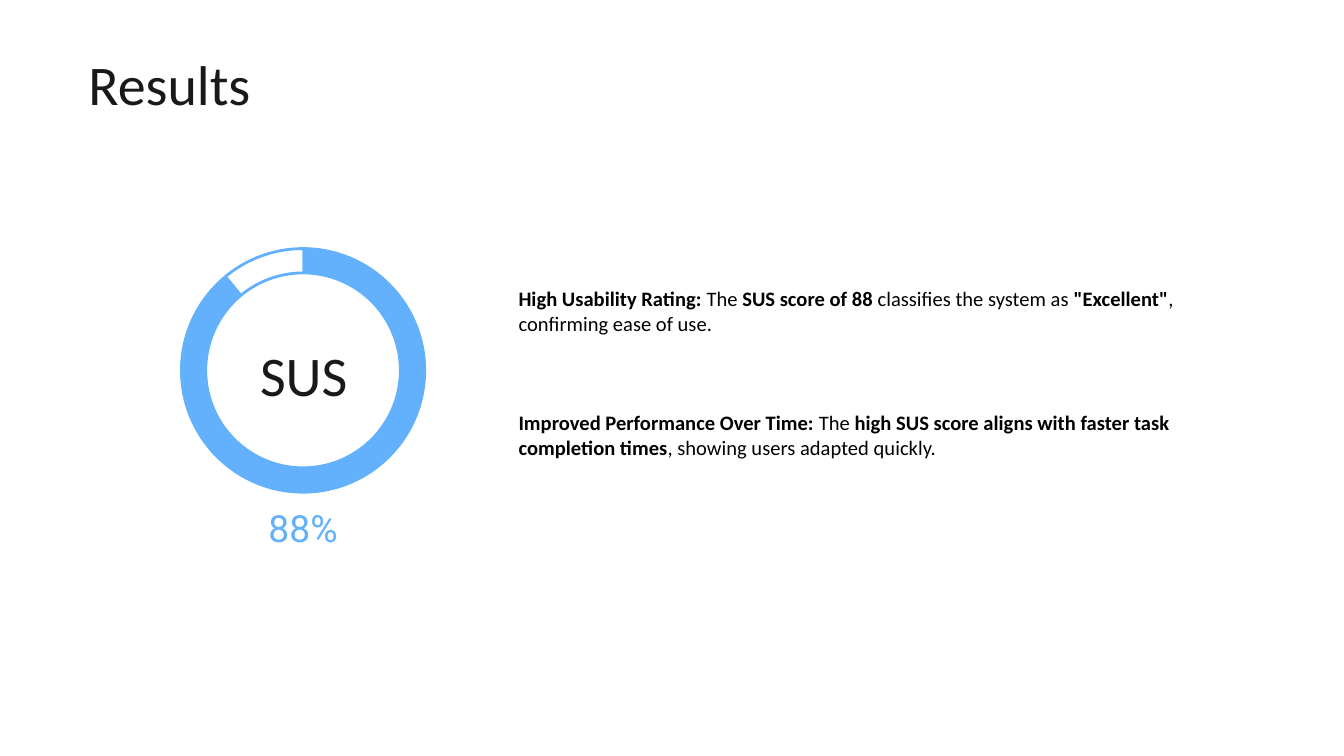
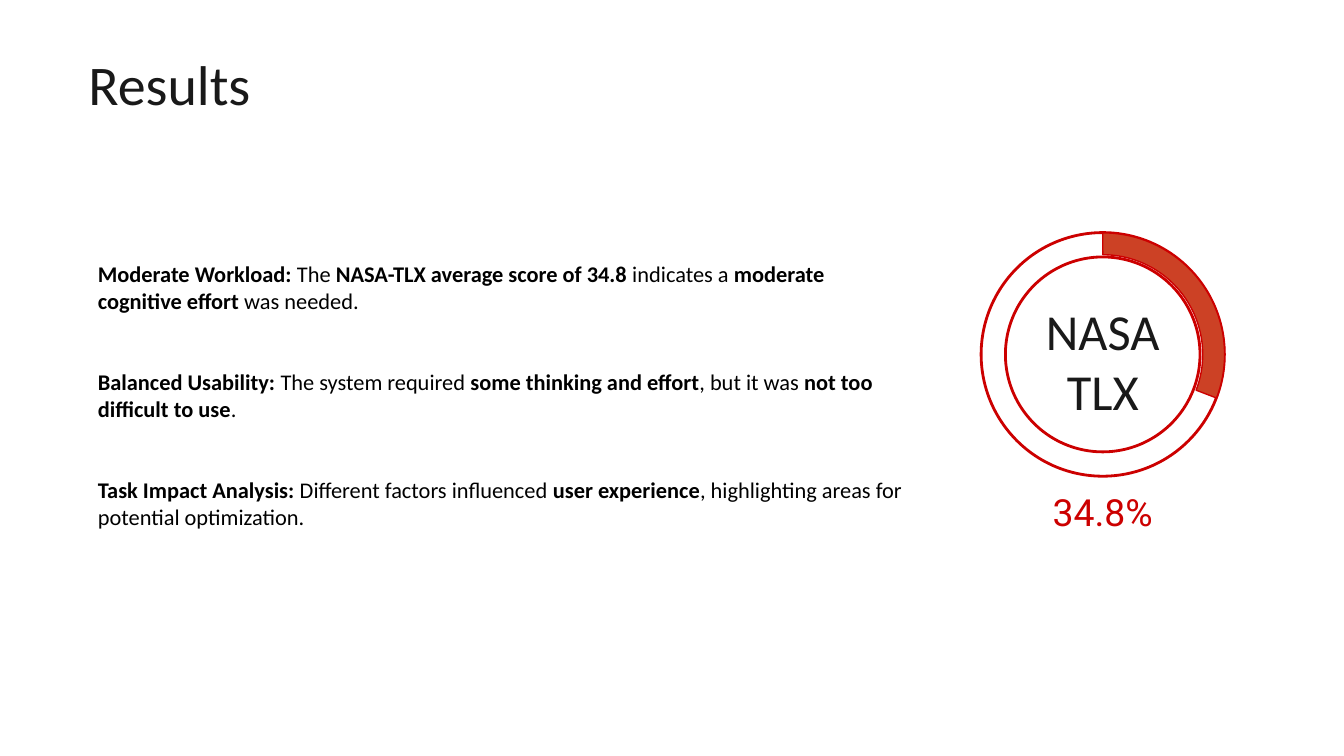
from pptx import Presentation
from pptx.dml.color import RGBColor
from pptx.enum.shapes import MSO_SHAPE
from pptx.enum.text import MSO_ANCHOR, PP_ALIGN
from pptx.util import Inches, Pt

DONUT, BLOCK_ARC = MSO_SHAPE.DONUT, MSO_SHAPE.BLOCK_ARC
LEFT, CENTER = PP_ALIGN.LEFT, PP_ALIGN.CENTER
TOP = MSO_ANCHOR.TOP

WHITE = RGBColor(0xFF, 0xFF, 0xFF)
BLACK = RGBColor(0x00, 0x00, 0x00)
INK = RGBColor(0x19, 0x19, 0x19)
BLUE = RGBColor(0x63, 0xB0, 0xFC)
RED = RGBColor(0xCC, 0x00, 0x00)
BRICK = RGBColor(0xCC, 0x41, 0x25)

WIDTH = Inches(10)
HEIGHT = WIDTH * 9 // 16
COLUMN = WIDTH / 10
ROW = HEIGHT / 9
INSET = Inches(0.1)
RING_COLUMNS, RING_ROWS = 1.81, 2.9
LABEL_COLUMNS = 2.11
ARC_START = 108

RESULTS = [
    {
        "ring": (1.35, 2.96), "outline": BLUE, "fill": BLUE,
        "arc_end": 84.44, "arc_thickness": 0.1, "percent": "88%",
        "name": ["SUS"], "name_box": (1.64, 3.9, 1.24, 1), "name_size": 30,
        "findings_box": (3.76, 3.25, 5.68, 2.9), "findings_size": 11, "gap": 40,
        "findings": [
            '**High Usability Rating:** The **SUS score of 88** classifies the system as '
            '**"Excellent"**, confirming ease of use.',
            "**Improved Performance Over Time:** The **high SUS score aligns with faster task "
            "completion times**, showing users adapted quickly.",
        ],
    },
    {
        "ring": (7.3, 2.77), "outline": RED, "fill": BRICK,
        "arc_end": 174.57, "arc_thickness": 0.09, "percent": "34.8%",
        "name": ["NASA", "TLX"], "name_box": (7.3, 3.41, 1.81, 1.63), "name_size": 27,
        "findings_box": (0.63, 2.94, 6.22, 3.55), "findings_size": 12, "gap": 29,
        "findings": [
            "**Moderate Workload:** The **NASA-TLX average score of 34.8** indicates a "
            "**moderate cognitive effort** was needed.",
            "**Balanced Usability:** The system required **some thinking and effort**, "
            "but it was **not too difficult to use**.",
            "**Task Impact Analysis:** Different factors influenced **user experience**, "
            "highlighting areas for potential optimization.",
        ],
    },
]


def place(column, row, columns, rows):
    return [round(length) for length in (column * COLUMN, row * ROW, columns * COLUMN, rows * ROW)]


def add_text(slide, box, lines, size, color=INK, font="Calibri", align=LEFT, gap=0):
    frame = slide.shapes.add_textbox(*place(*box)).text_frame
    frame.word_wrap = True
    frame.vertical_anchor = TOP
    frame.margin_left = frame.margin_right = frame.margin_top = frame.margin_bottom = INSET
    for index, line in enumerate(lines):
        paragraph = frame.add_paragraph() if index else frame.paragraphs[0]
        paragraph.alignment = align
        paragraph.space_before = Pt(gap if index else 0)
        for part, words in enumerate(line.split("**")):
            if words:
                run = paragraph.add_run()
                run.text = words
                run.font.name = font
                run.font.size = Pt(size)
                run.font.bold = part % 2 == 1
                run.font.color.rgb = color


presentation = Presentation()
presentation.slide_width = WIDTH
presentation.slide_height = HEIGHT

for result in RESULTS:
    slide = presentation.slides.add_slide(presentation.slide_layouts[6])
    slide.background.fill.solid()
    slide.background.fill.fore_color.rgb = WHITE
    add_text(slide, (0.56, 0.43, 1.98, 1), ["Results"], size=30)

    column, row = result["ring"]
    ring_box = place(column, row, RING_COLUMNS, RING_ROWS)

    ring = slide.shapes.add_shape(DONUT, *ring_box)
    ring.adjustments[0] = 0.1
    ring.fill.background()
    ring.line.width = Pt(1.5)

    arc = slide.shapes.add_shape(BLOCK_ARC, *ring_box)
    arc.rotation = 90
    arc.adjustments[0] = ARC_START
    arc.adjustments[1] = result["arc_end"]
    arc.adjustments[2] = result["arc_thickness"]
    arc.fill.solid()
    arc.fill.fore_color.rgb = result["fill"]
    arc.line.width = Pt(0.75)

    for shape in (ring, arc):
        shape.shadow.inherit = False
        shape.line.color.rgb = result["outline"]

    label_column = column - (LABEL_COLUMNS - RING_COLUMNS) / 2
    add_text(slide, (label_column, row + RING_ROWS, LABEL_COLUMNS, 1.09), [result["percent"]],
             size=20, color=result["outline"], font="Roboto", align=CENTER)
    add_text(slide, result["name_box"], result["name"], size=result["name_size"], align=CENTER)
    add_text(slide, result["findings_box"], result["findings"],
             size=result["findings_size"], color=BLACK, gap=result["gap"])

presentation.save("out.pptx")
